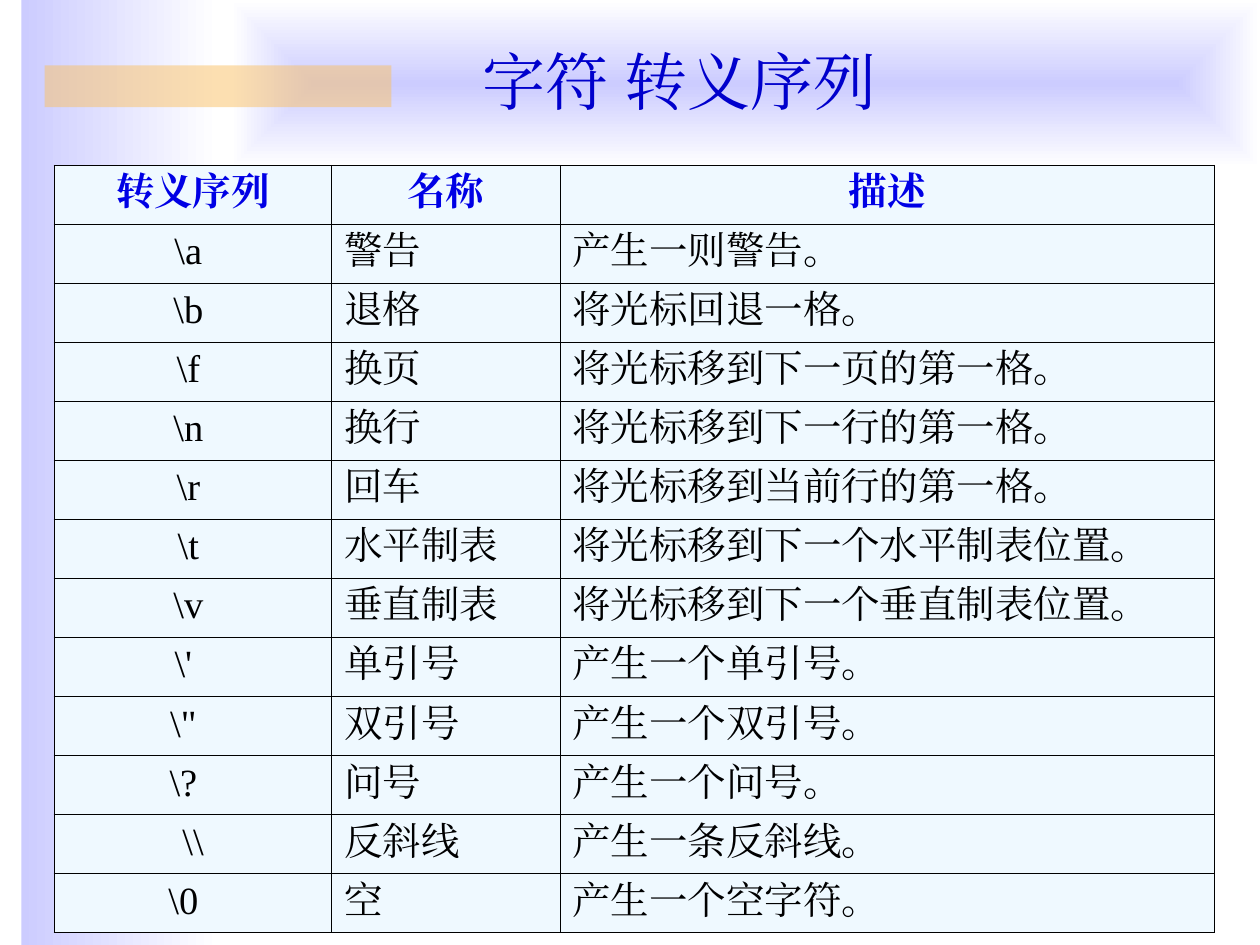
from lxml.etree import SubElement
from pptx import Presentation
from pptx.dml.color import RGBColor
from pptx.enum.shapes import MSO_SHAPE
from pptx.enum.text import MSO_ANCHOR, PP_ALIGN
from pptx.oxml import parse_xml
from pptx.oxml.ns import nsdecls, qn
from pptx.util import Cm, Pt

ONE_SPACE, TWO_SPACES = 0.19, 0.39  # extra right inset of the codes, cm
HEADINGS = ["转义序列", "名称", "描述"]
ESCAPES = [
    (r"\a", "警告", "产生一则警告。", ONE_SPACE),
    (r"\b", "退格", "将光标回退一格。", ONE_SPACE),
    (r"\f", "换页", "将光标移到下一页的第一格。", ONE_SPACE),
    (r"\n", "换行", "将光标移到下一行的第一格。", ONE_SPACE),
    (r"\r", "回车", "将光标移到当前行的第一格。", ONE_SPACE),
    (r"\t", "水平制表", "将光标移到下一个水平制表位置。", ONE_SPACE),
    (r"\v", "垂直制表", "将光标移到下一个垂直制表位置。", ONE_SPACE),
    (r"\'", "单引号", "产生一个单引号。", TWO_SPACES),
    (r'\"', "双引号", "产生一个双引号。", TWO_SPACES),
    (r"\?", "问号", "产生一个问号。", TWO_SPACES),
    (r"\\", "反斜线", "产生一条反斜线。", 0),
    (r"\0", "空", "产生一个空字符。", TWO_SPACES),
]


def rgb(code):
    return RGBColor.from_string(code)


def write(frame, text, size=22, color="000000", bold=False,
          align=PP_ALIGN.LEFT, font="Times New Roman"):
    paragraph = frame.paragraphs[0]
    paragraph.alignment = align
    run = paragraph.add_run()
    run.text = text
    run.font.size = Pt(size)
    run.font.bold = bold
    run.font.color.rgb = rgb(color)
    run.font.name = font
    # Chinese characters use the East Asian font slot
    SubElement(run.font._element, qn("a:ea")).set("typeface", font)


class EscapeSlide:
    lilac, white, amber = "CCCCFF", "FFFFFF", "FAC164"
    title_blue, heading_blue, cell_fill = "0000CC", "0000E5", "EFF9FF"
    border = "000000"

    def __init__(self, deck):
        self.slide = deck.slides.add_slide(deck.slide_layouts[6])

    def panel(self, left, top, width, height, color):
        panel = self.slide.shapes.add_shape(
            MSO_SHAPE.RECTANGLE, Cm(left), Cm(top), Cm(width), Cm(height))
        panel.shadow.inherit = False
        panel.line.fill.background()
        panel.fill.solid()
        panel.fill.fore_color.rgb = rgb(color)
        return panel

    def gradient_panel(self, left, top, width, height, direction):
        panel = self.panel(left, top, width, height, self.lilac)
        solid = panel._element.spPr.find(qn("a:solidFill"))
        solid.getparent().replace(solid, parse_xml(
            f'<a:gradFill {nsdecls("a")} rotWithShape="1"><a:gsLst>'
            f'<a:gs pos="0"><a:srgbClr val="{self.lilac}"/></a:gs>'
            f'<a:gs pos="100000"><a:srgbClr val="{self.white}"/></a:gs>'
            f'</a:gsLst>{direction}</a:gradFill>'))

    def translucent_panel(self, left, top, width, height, color, percent):
        panel = self.panel(left, top, width, height, color)
        tone = panel._element.spPr.find(qn("a:solidFill"))[0]
        SubElement(tone, qn("a:alpha")).set("val", str(percent * 1000))

    def title(self, left, top, width, height, text):
        box = self.slide.shapes.add_textbox(
            Cm(left), Cm(top), Cm(width), Cm(height))
        box.text_frame.word_wrap = True
        box.text_frame.vertical_anchor = MSO_ANCHOR.BOTTOM
        write(box.text_frame, text, size=36, color=self.title_blue,
              align=PP_ALIGN.CENTER)

    def cell(self, cell, text, **style):
        cell.fill.solid()
        cell.fill.fore_color.rgb = rgb(self.cell_fill)
        write(cell.text_frame, text, **style)
        properties = cell._tc.get_or_add_tcPr()
        for position, side in enumerate(("lnL", "lnR", "lnT", "lnB")):
            properties.insert(position, parse_xml(
                f'<a:{side} {nsdecls("a")} w="{Pt(0.45)}"><a:solidFill>'
                f'<a:srgbClr val="{self.border}"/></a:solidFill></a:{side}>'))

    def table(self, left, top, widths, row_height, headings, rows):
        count = len(rows) + 1
        table = self.slide.shapes.add_table(
            count, len(widths), Cm(left), Cm(top), Cm(sum(widths)),
            Cm(row_height * count)).table
        for column, width in zip(table.columns, widths):
            column.width = Cm(width)
        for row in table.rows:
            row.height = Cm(row_height)
        for column, heading in enumerate(headings):
            self.cell(table.cell(0, column), heading, bold=True,
                      color=self.heading_blue, align=PP_ALIGN.CENTER)
        for index, (code, name, description, inset) in enumerate(rows, 1):
            code_cell = table.cell(index, 0)
            code_cell.margin_right = Cm(0.25 + inset)
            self.cell(code_cell, code, align=PP_ALIGN.CENTER)
            self.cell(table.cell(index, 1), name)
            self.cell(table.cell(index, 2), description)


def main():
    deck = Presentation()
    deck.slide_width, deck.slide_height = Cm(25.4), Cm(19.05)
    page = EscapeSlide(deck)

    # Background bands
    page.gradient_panel(0.43, 0, 4.01, 19.05, '<a:lin ang="0" scaled="1"/>')
    page.gradient_panel(
        4.65, 0, 20.75, 3.38,
        '<a:path path="rect"><a:fillToRect l="50000" t="50000" '
        'r="50000" b="50000"/></a:path>')
    page.translucent_panel(0.9, 1.32, 6.99, 0.84, page.amber, 50)

    # Title
    page.title(2.9, -0.08, 21.59, 2.59, "字符 转义序列")

    # Escape sequences
    page.table(1.09, 3.33, [5.6, 4.6, 13.2], 1.19, HEADINGS, ESCAPES)

    deck.save("out.pptx")


if __name__ == "__main__":
    main()
